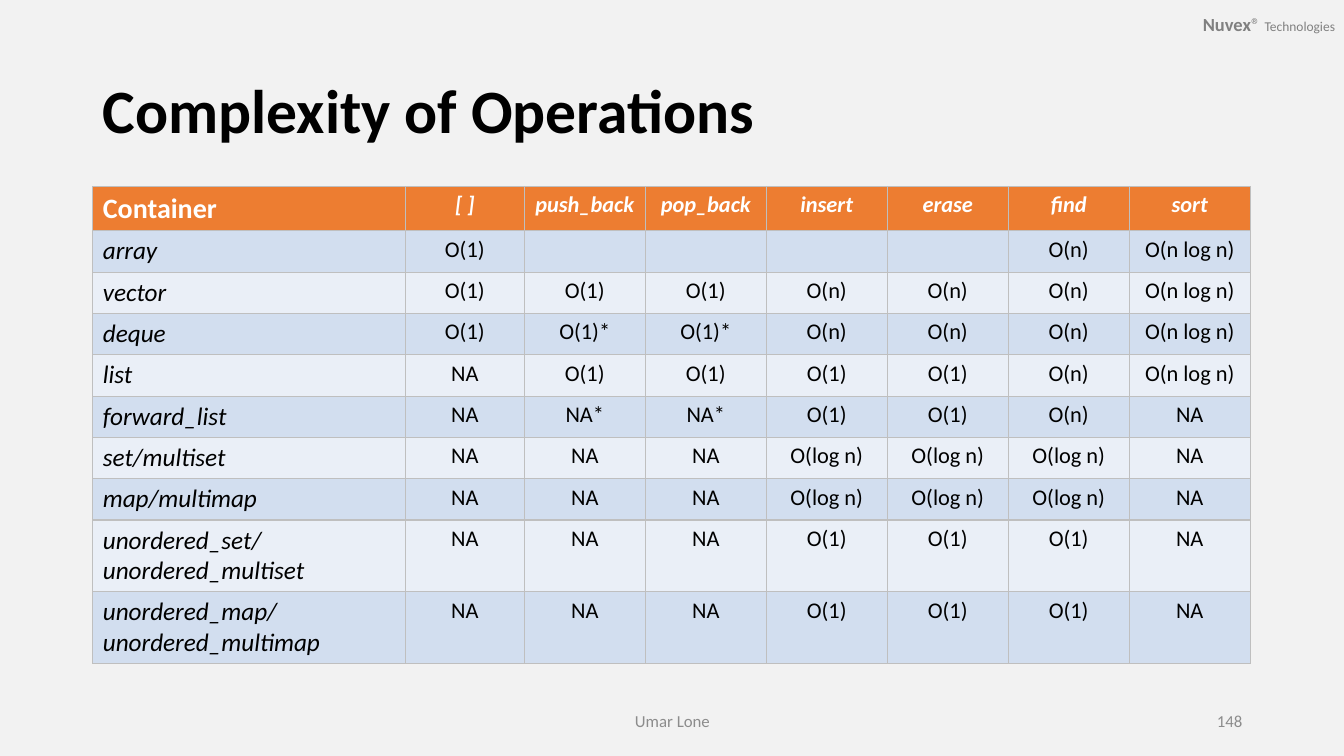
from dataclasses import dataclass

from lxml.etree import SubElement
from pptx import Presentation
from pptx.dml.color import RGBColor
from pptx.enum.text import MSO_ANCHOR, PP_ALIGN
from pptx.oxml.ns import qn
from pptx.util import Inches, Pt

FONT = "Calibri"
BACKGROUND = RGBColor(0xF2, 0xF2, 0xF2)
BLACK = RGBColor(0, 0, 0)
WHITE = RGBColor(0xFF, 0xFF, 0xFF)
ORANGE = RGBColor(0xED, 0x7D, 0x31)
BAND_DARK = RGBColor(0xD2, 0xDE, 0xEF)
BAND_LIGHT = RGBColor(0xEA, 0xEF, 0xF7)
BORDER = RGBColor(0xBF, 0xBF, 0xBF)
HEADER_GREY = RGBColor(0x80, 0x80, 0x80)
FOOTER_GREY = RGBColor(0x8C, 0x8C, 0x8C)


@dataclass(frozen=True)
class Style:
    size: float
    color: RGBColor = BLACK
    bold: bool = False
    italic: bool = False


@dataclass(frozen=True)
class Label:
    left: float
    top: float
    width: float
    height: float
    align: PP_ALIGN
    runs: tuple[tuple[str, Style], ...]


@dataclass(frozen=True)
class Container:
    name: str
    costs: tuple[str, ...]


TITLE = Style(44, bold=True)
CORNER = Style(20, WHITE, bold=True)
OPERATION = Style(16, WHITE, bold=True, italic=True)
NAME = Style(18, italic=True)
COST = Style(16)
FOOTER = Style(12, FOOTER_GREY)

LABELS = (
    Label(11.41, 0.01, 1.93, 0.45, PP_ALIGN.RIGHT, (
        ("Nuvex", Style(13.2, HEADER_GREY, bold=True)),
        ("® ", Style(13.2, HEADER_GREY)),
        ("Technologies", Style(9.6, HEADER_GREY)),
    )),
    Label(4.42, 6.95, 4.5, 0.4, PP_ALIGN.CENTER, (("Umar Lone", FOOTER),)),
    Label(9.42, 6.95, 3, 0.4, PP_ALIGN.RIGHT, (("148", FOOTER),)),
)

COLUMN_WIDTHS = (3.1, 1.18) + (1.2,) * 6
HEADER_HEIGHT, ROW_HEIGHT, TALL_HEIGHT = 0.44, 0.41, 0.71
OPERATIONS = ("[ ]", "push_back", "pop_back", "insert", "erase", "find", "sort")
C1, CN, CLOG, CSORT, NA = "O(1)", "O(n)", "O(log n)", "O(n log n)", "NA"
TREE = (NA, NA, NA, CLOG, CLOG, CLOG, NA)
HASH = (NA, NA, NA, C1, C1, C1, NA)
CONTAINERS = (
    Container("array", (C1, "", "", "", "", CN, CSORT)),
    Container("vector", (C1, C1, C1, CN, CN, CN, CSORT)),
    Container("deque", (C1, "O(1)*", "O(1)*", CN, CN, CN, CSORT)),
    Container("list", (NA, C1, C1, C1, C1, CN, CSORT)),
    Container("forward_list", (NA, "NA*", "NA*", C1, C1, CN, NA)),
    Container("set/multiset", TREE),
    Container("map/multimap", TREE),
    Container("unordered_set/\nunordered_multiset", HASH),
    Container("unordered_map/\nunordered_multimap", HASH),
)


def add_run(p, text: str, style: Style) -> None:
    """Append a formatted run to a paragraph."""
    r = p.add_run()
    r.text = text
    r.font.name = FONT
    r.font.size = Pt(style.size)
    r.font.bold = style.bold
    r.font.italic = style.italic
    r.font.color.rgb = style.color


def add_label(s, label: Label) -> None:
    """Draw a one-line text box."""
    box = s.shapes.add_textbox(Inches(label.left), Inches(label.top),
                               Inches(label.width), Inches(label.height))
    tf = box.text_frame
    tf.word_wrap = True
    tf.vertical_anchor = MSO_ANCHOR.MIDDLE
    p = tf.paragraphs[0]
    p.alignment = label.align
    for text, style in label.runs:
        add_run(p, text, style)


def set_title(s, text: str) -> None:
    """Place and format the slide title."""
    title = s.shapes.title
    title.left, title.top = Inches(0.92), Inches(0.4)
    title.width, title.height = Inches(11.5), Inches(1.45)
    tf = title.text_frame
    tf.vertical_anchor = MSO_ANCHOR.MIDDLE
    p = tf.paragraphs[0]
    p.alignment = PP_ALIGN.LEFT
    p.line_spacing = 0.9
    add_run(p, text, TITLE)


def set_borders(cell) -> None:
    """Give a cell a thin grey line on all four sides."""
    tc_pr = cell._tc.get_or_add_tcPr()
    for side in ("a:lnL", "a:lnR", "a:lnT", "a:lnB"):
        ln = SubElement(tc_pr, qn(side), w=str(Pt(1)))
        fill = SubElement(ln, qn("a:solidFill"))
        SubElement(fill, qn("a:srgbClr"), val=str(BORDER))


def fill_cell(cell, text: str, style: Style, align: PP_ALIGN, color: RGBColor) -> None:
    """Write, align and colour one table cell."""
    set_borders(cell)
    cell.fill.solid()
    cell.fill.fore_color.rgb = color
    tf = cell.text_frame
    for i, line in enumerate(text.split("\n")):
        p = tf.add_paragraph() if i else tf.paragraphs[0]
        p.alignment = align
        if line:
            add_run(p, line, style)


def fill_row(table, row: int, texts: tuple[str, ...], first: Style, rest: Style,
             color: RGBColor) -> None:
    """Fill a row with a left-aligned head and centred values."""
    for col, text in enumerate(texts):
        style, align = (rest, PP_ALIGN.CENTER) if col else (first, PP_ALIGN.LEFT)
        fill_cell(table.cell(row, col), text, style, align, color)


def add_complexity_table(s) -> None:
    """Draw the table of containers and operation costs."""
    heights = [HEADER_HEIGHT] + [TALL_HEIGHT if "\n" in c.name else ROW_HEIGHT
                                 for c in CONTAINERS]
    table = s.shapes.add_table(len(heights), len(COLUMN_WIDTHS), Inches(0.92), Inches(1.85),
                               Inches(sum(COLUMN_WIDTHS)), Inches(sum(heights))).table
    table.first_row = table.horz_banding = False
    for column, width in zip(table.columns, COLUMN_WIDTHS):
        column.width = Inches(width)
    for row, height in zip(table.rows, heights):
        row.height = Inches(height)
    fill_row(table, 0, ("Container", *OPERATIONS), CORNER, OPERATION, ORANGE)
    for i, c in enumerate(CONTAINERS, 1):
        fill_row(table, i, (c.name, *c.costs), NAME, COST,
                 BAND_DARK if i % 2 else BAND_LIGHT)


def main() -> None:
    """Build and save the slide."""
    prs = Presentation()
    prs.slide_width, prs.slide_height = Inches(13.33), Inches(7.5)
    s = prs.slides.add_slide(prs.slide_layouts[5])
    s.background.fill.solid()
    s.background.fill.fore_color.rgb = BACKGROUND
    set_title(s, "Complexity of Operations")
    add_complexity_table(s)
    for label in LABELS:
        add_label(s, label)
    prs.save("out.pptx")


main()
